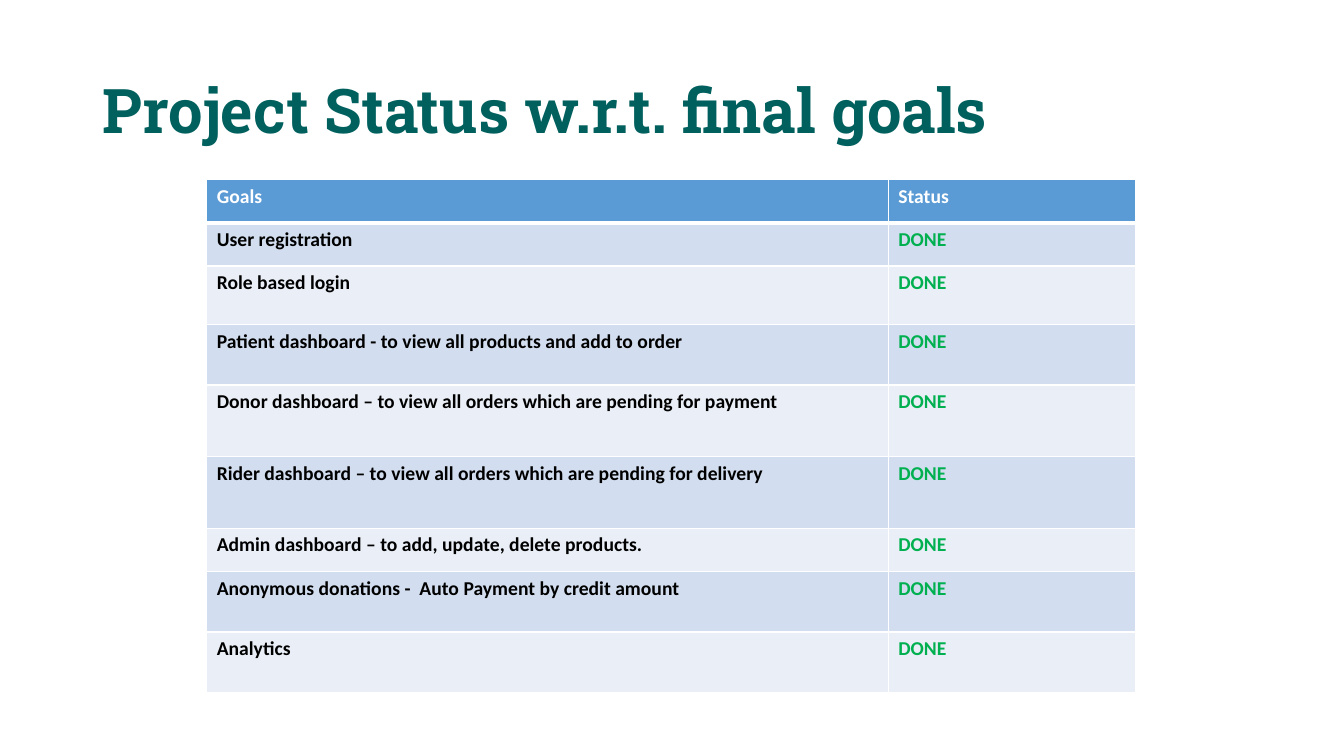
from dataclasses import dataclass

from lxml.etree import SubElement
from pptx import Presentation
from pptx.dml.color import RGBColor
from pptx.enum.text import MSO_ANCHOR
from pptx.oxml.ns import qn
from pptx.slide import Slide
from pptx.table import _Cell
from pptx.text.text import TextFrame
from pptx.util import Inches, Pt

COLORS = {
    "title": "00605E",
    "header": "5B9BD5",
    "odd_row": "D2DEEF",
    "even_row": "EAEFF7",
    "white": "FFFFFF",
    "black": "000000",
    "done": "00B050",
}
COLUMN_WIDTHS = (6.76, 2.45)


@dataclass(frozen=True)
class GoalRow:
    goal: str
    height: float = 0.43
    status: str = "DONE"


HEADER = GoalRow("Goals", status="Status")
GOALS = (
    GoalRow("User registration"),
    GoalRow("Role based login", 0.58),
    GoalRow("Patient dashboard - to view all products and add to order", 0.6),
    GoalRow("Donor dashboard – to view all orders which are pending for payment", 0.71),
    GoalRow("Rider dashboard – to view all orders which are pending for delivery", 0.71),
    GoalRow("Admin dashboard – to add, update, delete products."),
    GoalRow("Anonymous donations -  Auto Payment by credit amount", 0.6),
    GoalRow("Analytics", 0.6),
)


def write_text(
    frame: TextFrame,
    text: str,
    *,
    color: str,
    size: float = 14,
    font: str = "Calibri",
    line_spacing: float = 1.0,
) -> None:
    paragraph = frame.paragraphs[0]
    paragraph.line_spacing = line_spacing
    run = paragraph.add_run()
    run.text = text
    run.font.name = font
    run.font.size = Pt(size)
    run.font.bold = True
    run.font.color.rgb = RGBColor.from_string(COLORS[color])


def set_borders(cell: _Cell, *, top: float = 1, bottom: float = 1) -> None:
    properties = cell._tc.get_or_add_tcPr()
    for side, width in (("L", 1), ("R", 1), ("T", top), ("B", bottom)):
        line = SubElement(properties, qn(f"a:ln{side}"), w=str(Pt(width)))
        fill = SubElement(line, qn("a:solidFill"))
        SubElement(fill, qn("a:srgbClr"), val=COLORS["white"])


def add_title(slide: Slide, text: str) -> None:
    shape = slide.shapes.add_textbox(Inches(0.92), Inches(0.4), Inches(11.5), Inches(1.45))
    frame = shape.text_frame
    frame.word_wrap = True
    frame.vertical_anchor = MSO_ANCHOR.MIDDLE
    write_text(frame, text, color="title", size=44, font="Roboto Slab", line_spacing=0.9)


def add_goal_table(slide: Slide) -> None:
    rows = (HEADER, *GOALS)
    table = slide.shapes.add_table(
        len(rows),
        len(COLUMN_WIDTHS),
        Inches(2.05),
        Inches(1.78),
        Inches(sum(COLUMN_WIDTHS)),
        Inches(sum(row.height for row in rows)),
    ).table
    for column, width in zip(table.columns, COLUMN_WIDTHS):
        column.width = Inches(width)
    for index, row in enumerate(rows):
        table.rows[index].height = Inches(row.height)
        is_header = index == 0
        background = "header" if is_header else "odd_row" if index % 2 else "even_row"
        entries = ((row.goal, "black"), (row.status, "done"))
        for column_index, (text, color) in enumerate(entries):
            cell = table.cell(index, column_index)
            set_borders(cell, top=3 if index == 1 else 1, bottom=3 if is_header else 1)
            cell.fill.solid()
            cell.fill.fore_color.rgb = RGBColor.from_string(COLORS[background])
            write_text(cell.text_frame, text, color="white" if is_header else color)


def main() -> None:
    presentation = Presentation()
    presentation.slide_width = Inches(13.33)
    presentation.slide_height = Inches(7.5)
    slide = presentation.slides.add_slide(presentation.slide_layouts[6])
    add_title(slide, "Project Status w.r.t. final goals")
    add_goal_table(slide)
    presentation.save("out.pptx")


if __name__ == "__main__":
    main()
